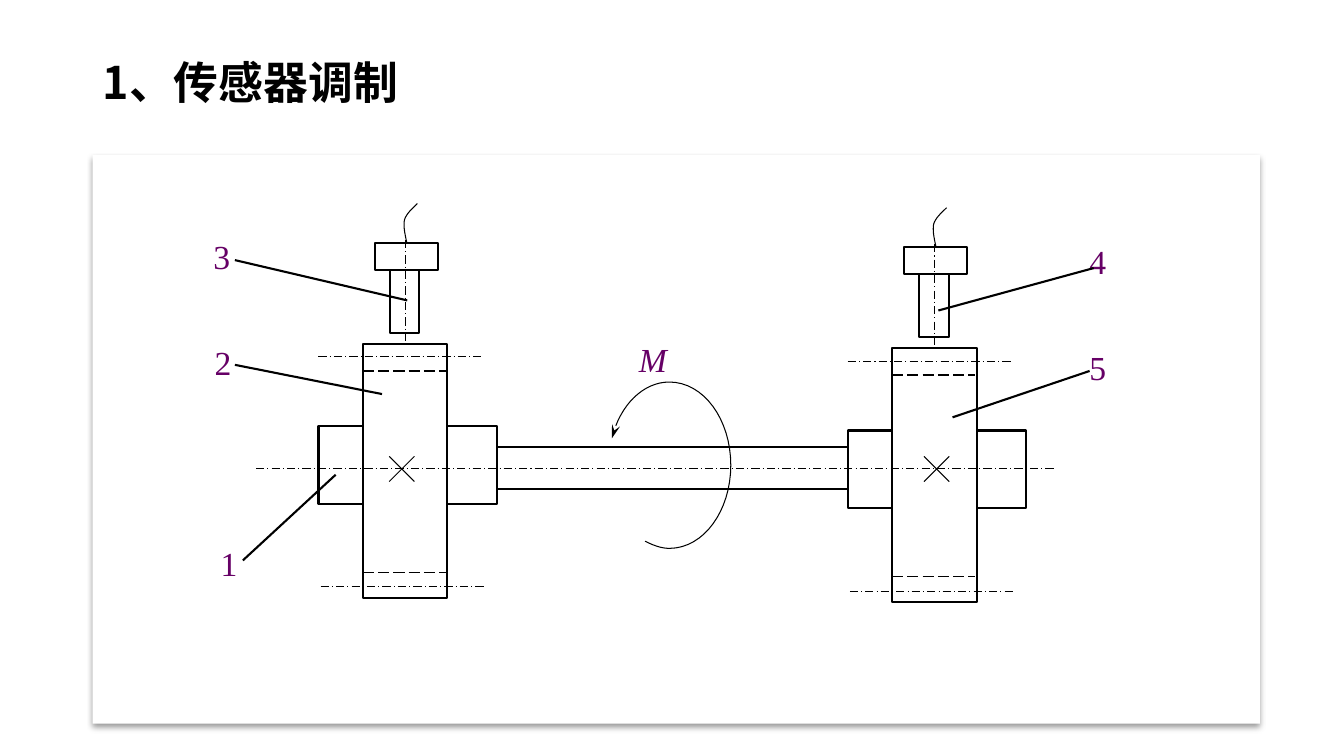
import pptx
import pptx.util
import pptx.dml.color
import pptx.enum.dml
import pptx.enum.shapes
import pptx.enum.text
import pptx.oxml.ns
from lxml import etree

Pt = pptx.util.Pt
BLACK = pptx.dml.color.RGBColor(0x00, 0x00, 0x00)
WHITE = pptx.dml.color.RGBColor(0xFF, 0xFF, 0xFF)
PURPLE = pptx.dml.color.RGBColor(0x66, 0x00, 0x66)
AXIS = pptx.enum.dml.MSO_LINE.LONG_DASH_DOT
HIDDEN_EDGE = pptx.enum.dml.MSO_LINE.LONG_DASH

# Content, all lengths in points
TITLE = "1、传感器调制"
TITLE_FONT, LABEL_FONT = "Noto Sans CJK SC", "Times New Roman"
TITLE_BOX = (66.2, 37.4, 828, 46.8)
PANEL = (66.2, 110.9, 833.8, 406)
LABEL_SIZE = (92.9, 52.6)
LABELS = [  # text, left, top, italic
    ("4", 771.1, 168.5, False),
    ("5", 771.1, 244.1, False),
    ("1", 150.5, 384.5, False),
    ("3", 145.4, 164.9, False),
    ("2", 146.2, 240.5, False),
    ("M", 449.3, 238.3, True),
]
LEADERS = [
    ((239.8, 339.1), (173.5, 400.3)),
    ((272.9, 281.5), (167.8, 260.6)),
    ((290.9, 214.6), (167.8, 185.8)),
    ((670.3, 221.8), (781.2, 191.5)),
    ((680.4, 298.1), (778.3, 265)),
]
SHAFT = (355, 319.3, 252, 30.3)
SHAFT_AXIS = ((182.9, 334.6), (753.1, 334.6))

# One gear with its sensor, in the left position
GEAR_SETS = [(0, 0, 287), (378, 3, 669)]  # shift x, shift y, centre mark x
CENTRE_Y, MARK_HALF = 335, 9
GEAR_PARTS = [
    (227.5, 304.5, 127.4, 55.6),  # hub
    (259.2, 245.5, 60.4, 181.5),  # gear
    (267.8, 173.5, 45, 19.5),     # sensor cap
    (278.6, 193, 21, 44.8),       # sensor stem
]
GEAR_LINES = [  # start, end, width, dash
    ((227.5, 254.9), (344.9, 254.9), 0.75, AXIS),
    ((229, 419.2), (346.3, 419.2), 0.75, AXIS),
    ((289.4, 171.4), (289.4, 244.8), 0.75, AXIS),
    ((259.2, 265), (318.5, 265), 1, HIDDEN_EDGE),
    ((259.2, 409), (318.5, 409), 1, HIDDEN_EDGE),
]
# Bezier chains: a start, then two controls and an end for each piece
WIRE = [(298.1, 145.4), (294.5, 149), (290.2, 152.6), (288.9, 157.2),
        (288, 162), (289.4, 167.8), (290.6, 173.5)]
TORQUE = [(437, 313.2), (442.8, 289.4), (459.4, 272.9), (478.1, 272.9),
          (502.6, 272.9), (522, 299.5), (522, 332.3),
          (522, 365), (502.6, 391.7), (478.1, 391.7),
          (472.3, 391.7), (466.6, 389.5), (460.8, 386.6)]
STEPS = 16

deck = pptx.Presentation()
deck.slide_width, deck.slide_height = Pt(960), Pt(540)
slide = deck.slides.add_slide(deck.slide_layouts[6])


def add_xml(parent, tag, **attributes):
    return etree.SubElement(parent, pptx.oxml.ns.qn(tag), attributes)


def add_box(box, line_width=None):
    rect = slide.shapes.add_shape(
        pptx.enum.shapes.MSO_SHAPE.RECTANGLE, *map(Pt, box))
    rect.shadow.inherit = False
    rect.fill.solid()
    rect.fill.fore_color.rgb = WHITE
    if line_width:
        rect.line.color.rgb = BLACK
        rect.line.width = Pt(line_width)
    else:
        rect.line.fill.background()
    return rect


def add_line(start, end, width, dash=None):
    line = slide.shapes.add_connector(
        pptx.enum.shapes.MSO_CONNECTOR.STRAIGHT, *map(Pt, start + end))
    line.line.color.rgb = BLACK
    line.line.width = Pt(width)
    if dash:
        line.line.dash_style = dash
    add_xml(line._element.spPr, "a:effectLst")


def add_curve(chain, dx=0, dy=0):
    points = []
    for i in range(0, len(chain) - 1, 3):
        a, b, c, d = chain[i:i + 4]
        for step in range(1, STEPS + 1):
            t = step / STEPS
            u = 1 - t
            x, y = (u**3 * p + 3 * u * u * t * q + 3 * u * t * t * r + t**3 * s
                    for p, q, r, s in zip(a, b, c, d))
            points.append((Pt(x + dx), Pt(y + dy)))
    builder = slide.shapes.build_freeform(Pt(chain[0][0] + dx), Pt(chain[0][1] + dy))
    builder.add_line_segments(points, close=False)
    curve = builder.convert_to_shape()
    curve.shadow.inherit = False
    curve.fill.background()
    curve.line.color.rgb = BLACK
    curve.line.width = Pt(0.75)
    return curve


def add_text(text, box, size, font, color):
    frame = slide.shapes.add_textbox(*map(Pt, box)).text_frame
    frame.word_wrap = True
    frame.text = text
    run = frame.paragraphs[0].runs[0]
    run.font.size = Pt(size)
    run.font.name = font
    run.font.color.rgb = color
    add_xml(run.font._element, "a:ea", typeface=font)
    return frame, run


# Panel with a soft shadow below
panel = add_box(PANEL)
effects = panel._element.spPr.find(pptx.oxml.ns.qn("a:effectLst"))
shadow = add_xml(effects, "a:outerShdw", blurRad=str(Pt(4)), dist=str(Pt(3)),
                 dir="5400000", algn="t", rotWithShape="0")
shade = add_xml(shadow, "a:srgbClr", val=str(BLACK))
add_xml(shade, "a:alpha", val="40000")

# Labels
for text, left, top, italic in LABELS:
    frame, run = add_text(text, (left, top) + LABEL_SIZE, 24, LABEL_FONT, PURPLE)
    frame.paragraphs[0].alignment = pptx.enum.text.PP_ALIGN.JUSTIFY
    run.font.italic = italic

# Shaft, then both gears with their sensors
add_box(SHAFT, 1.5)
for dx, dy, mark_x in GEAR_SETS:
    for left, top, width, height in GEAR_PARTS:
        add_box((left + dx, top + dy, width, height), 1.5)
    for (x1, y1), (x2, y2), width, dash in GEAR_LINES:
        add_line((x1 + dx, y1 + dy), (x2 + dx, y2 + dy), width, dash)
    for rise in (-MARK_HALF, MARK_HALF):
        add_line((mark_x - MARK_HALF, CENTRE_Y - rise),
                 (mark_x + MARK_HALF, CENTRE_Y + rise), 0.75)
    add_curve(WIRE, dx, dy)

# Leaders, torque arrow and shaft axis
for start, end in LEADERS:
    add_line(start, end, 1.5)
torque = add_curve(TORQUE)
add_xml(torque.line._get_or_add_ln(), "a:headEnd", type="stealth", w="med", len="lg")
add_line(*SHAFT_AXIS, 0.75, AXIS)

# Title
frame, run = add_text(TITLE, TITLE_BOX, 32, TITLE_FONT, BLACK)
frame.vertical_anchor = pptx.enum.text.MSO_ANCHOR.MIDDLE
frame.paragraphs[0].line_spacing = 0.9
run.font.bold = True

deck.save("out.pptx")
